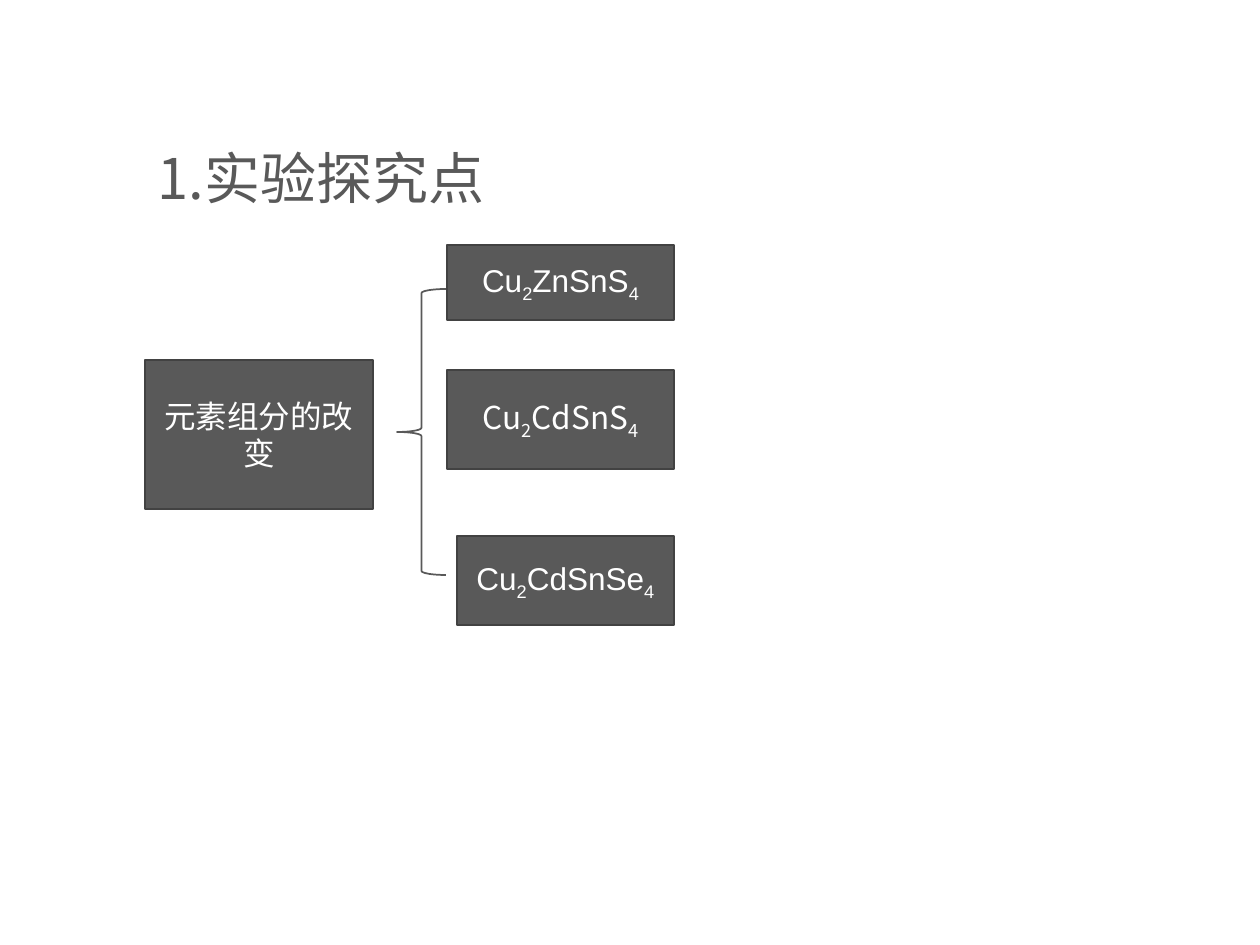
from lxml import etree
from pptx import Presentation
from pptx import util as u
from pptx.dml.color import RGBColor
from pptx.enum import shapes, text
from pptx.oxml.ns import qn

# Content: places are left, top, width, height in px
TITLE = ("1.实验探究点", (145, 117, 362, 101))
CAUSE = ("元素组分的改变", (145, 360, 228, 149))
BRACE = (397, 289, 49, 286)
COMPOUNDS = [
    ("Cu2ZnSnS4", "Arial", (447, 245, 227, 75)),
    ("Cu2CdSnS4", "Noto Sans CJK SC", (447, 370, 227, 99)),
    ("Cu2CdSnSe4", "Arial", (457, 536, 217, 89)),
]


class Theme:
    ink = RGBColor(0x59, 0x59, 0x59)
    edge = RGBColor(0x42, 0x42, 0x42)
    paper = RGBColor(0xFF, 0xFF, 0xFF)
    latin, cjk = "Arial", "Noto Sans CJK SC"
    title_size, label_size = u.Pt(32), u.Pt(18)
    line_width = u.Pt(1)
    subscript = "-25000"


PX = u.Inches(1) // 126


def emu(place):
    return [n * PX for n in place]


def add_run(paragraph, words, font, size, colour, subscript=False):
    run = paragraph.add_run()
    run.text = words
    run.font.name, run.font.size = font, size
    run.font.color.rgb = colour
    properties = run._r.get_or_add_rPr()
    etree.SubElement(properties, qn("a:ea")).set("typeface", Theme.cjk)
    if subscript:
        properties.set("baseline", Theme.subscript)


def add_outline(slide, preset, place, line_colour):
    outline = slide.shapes.add_shape(preset, *emu(place))
    outline.shadow.inherit = False
    outline.line.color.rgb = line_colour
    outline.line.width = Theme.line_width
    return outline


def add_box(slide, parts, font, place):
    """Add a box; parts are (words, is_subscript) pairs."""
    box = add_outline(slide, shapes.MSO_SHAPE.RECTANGLE, place, Theme.edge)
    box.fill.solid()
    box.fill.fore_color.rgb = Theme.ink
    frame = box.text_frame
    frame.word_wrap = True
    frame.vertical_anchor = text.MSO_ANCHOR.MIDDLE
    label = frame.paragraphs[0]
    label.alignment = text.PP_ALIGN.CENTER
    for words, subscript in parts:
        add_run(label, words, font, Theme.label_size, Theme.paper, subscript)


def formula_parts(formula):
    """Split a formula into its letters and its single-digit subscripts."""
    parts, letters = [], ""
    for sign in formula:
        if sign.isdigit():
            parts += [(letters, False), (sign, True)]
            letters = ""
        else:
            letters += sign
    return parts


def main():
    deck = Presentation()
    deck.slide_width, deck.slide_height = u.Inches(10), u.Inches(7.5)
    slide = deck.slides.add_slide(deck.slide_layouts[6])

    # Cause and the brace that opens to the compounds
    cause, place = CAUSE
    add_box(slide, [(cause, False)], Theme.latin, place)
    brace = add_outline(slide, shapes.MSO_SHAPE.LEFT_BRACE, BRACE, Theme.ink)
    brace.fill.background()

    # Compounds
    for formula, font, place in COMPOUNDS:
        add_box(slide, formula_parts(formula), font, place)

    # Title
    words, place = TITLE
    frame = slide.shapes.add_textbox(*emu(place)).text_frame
    frame.word_wrap = True
    heading = frame.paragraphs[0]
    heading.line_spacing = 1.3
    add_run(heading, words, Theme.cjk, Theme.title_size, Theme.ink)

    deck.save("out.pptx")


if __name__ == "__main__":
    main()
